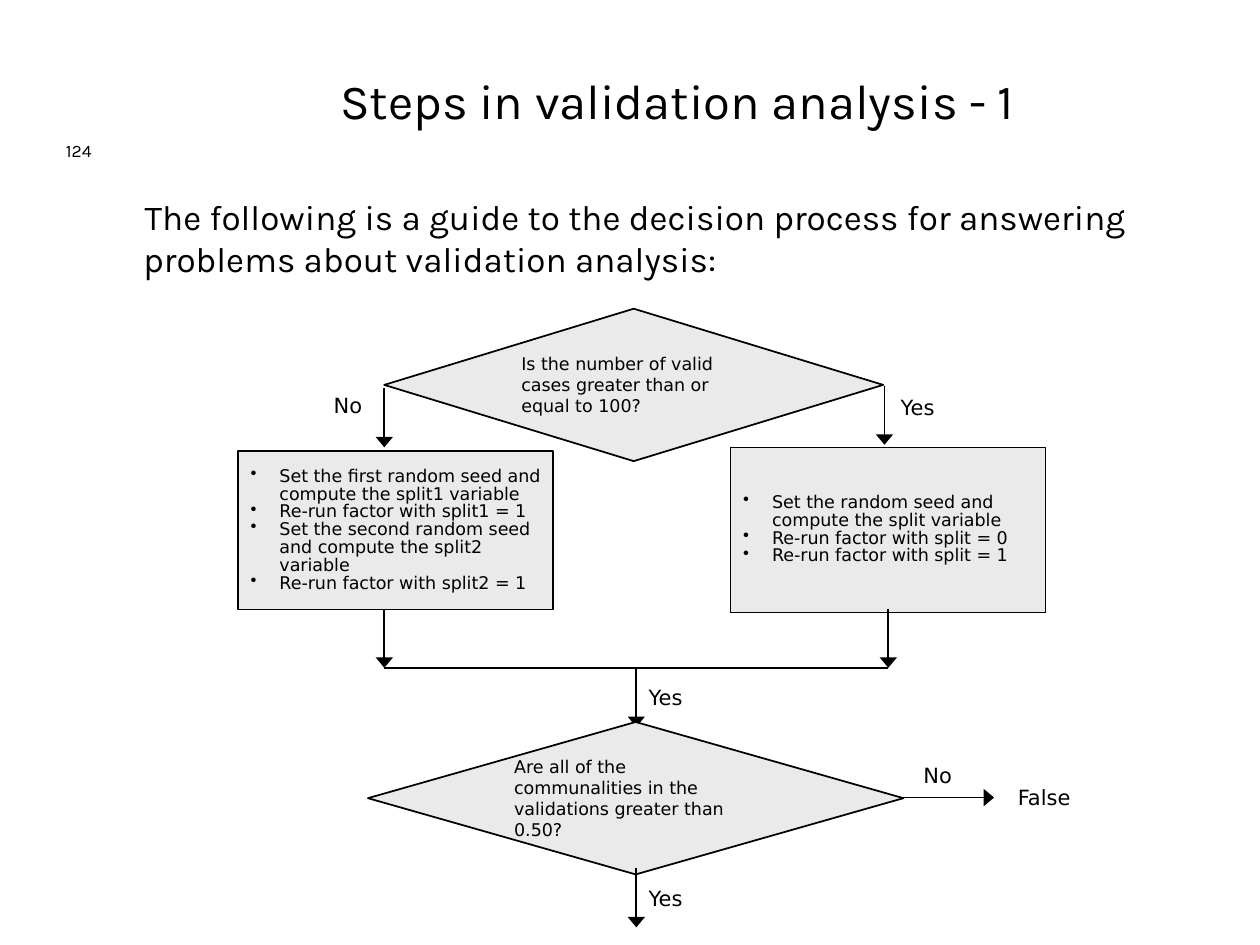
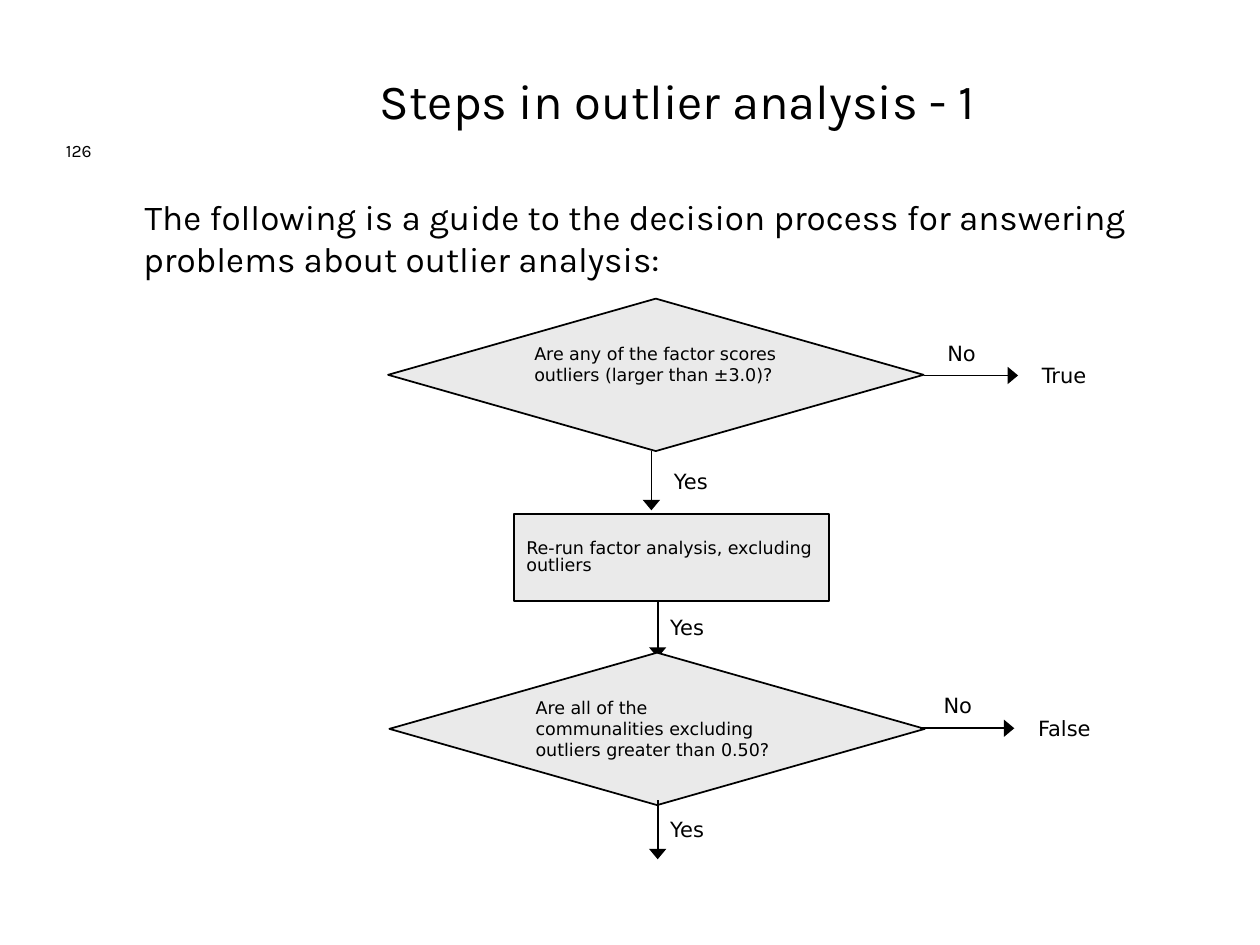
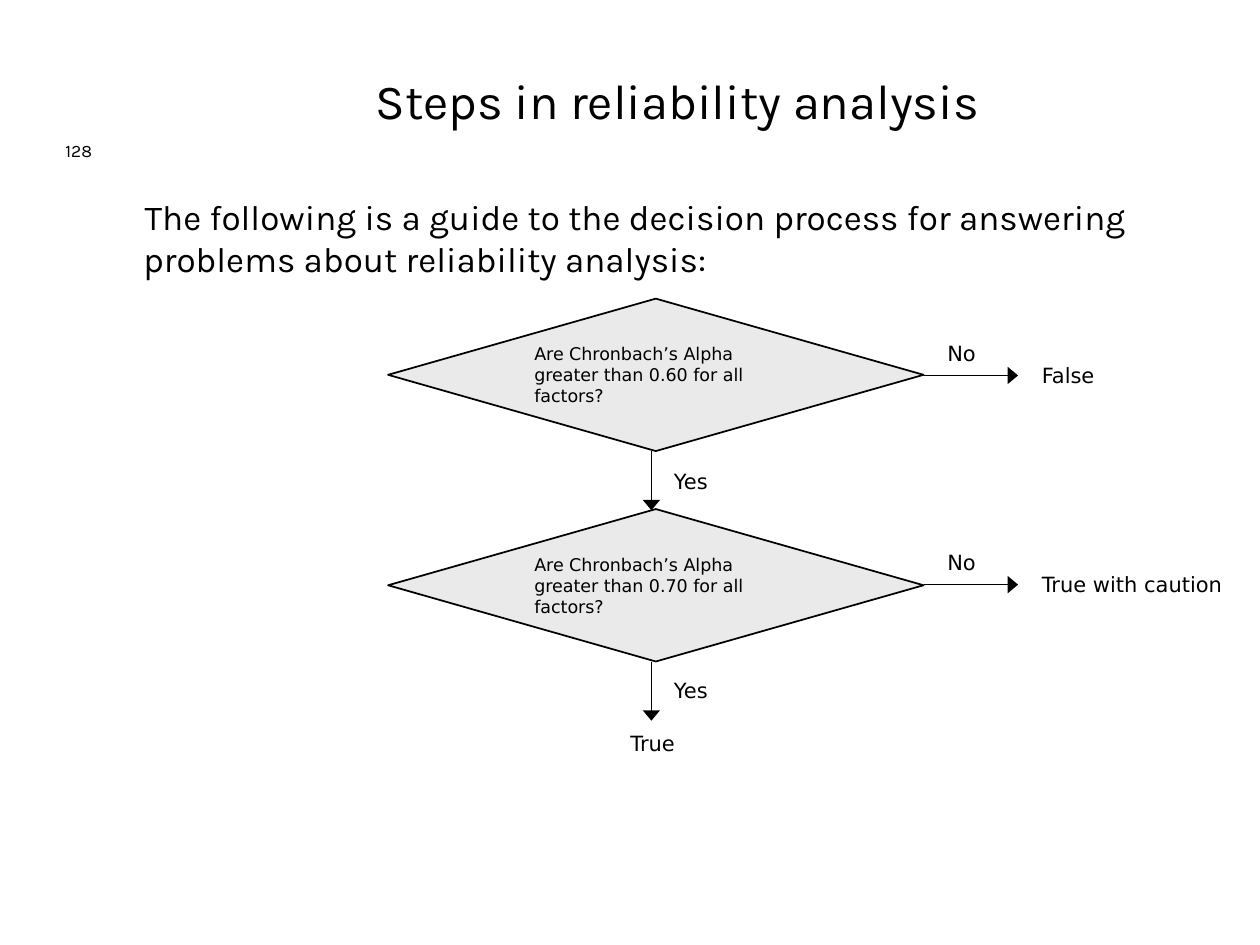
"""Build three flowchart slides on validation, outlier and reliability analysis."""
from dataclasses import dataclass

from lxml.etree import SubElement
from pptx import Presentation
from pptx.dml.color import RGBColor
from pptx.enum.shapes import MSO_CONNECTOR as LINE, MSO_SHAPE as SHAPE
from pptx.enum.text import MSO_ANCHOR as ANCHOR, PP_ALIGN as ALIGN
from pptx.oxml.ns import qn
from pptx.util import Inches, Pt


@dataclass(frozen=True)
class Theme:
    ink: RGBColor = RGBColor(0, 0, 0)
    paper: RGBColor = RGBColor(0xFF, 0xFF, 0xFF)
    node: RGBColor = RGBColor(0xEA, 0xEA, 0xEA)
    heading_font: str = "Karla"
    chart_font: str = "DejaVu Sans"
    title: int = 28
    intro: int = 20
    label: int = 12
    small: int = 10


theme = Theme()
DECISION, ACTION = SHAPE.FLOWCHART_DECISION, SHAPE.RECTANGLE
DROP, EXIT = 0.47, 0.75


def write(shape, lines, size, font=theme.chart_font, align=ALIGN.LEFT,
          anchor=ANCHOR.TOP, spacing=1.0):
    frame = shape.text_frame
    frame.word_wrap = True
    frame.vertical_anchor = anchor
    frame.text = "\n".join(lines)
    for paragraph in frame.paragraphs:
        if len(lines) > 1:
            properties = paragraph._p.get_or_add_pPr()
            properties.set("marL", str(Inches(0.23)))
            properties.set("indent", str(Inches(-0.25)))
            SubElement(properties, qn("a:buChar"), char="•")
        paragraph.alignment = align
        paragraph.line_spacing = spacing
        for run in paragraph.runs:
            run.font.size = Pt(size)
            run.font.name = font
            run.font.color.rgb = theme.ink


def connect(slide, x1, y1, x2, y2, arrow=True):
    link = slide.shapes.add_connector(
        LINE.STRAIGHT, Inches(x1), Inches(y1), Inches(x2), Inches(y2))
    link.line.color.rgb = theme.ink
    link.line.width = Pt(1)
    if arrow:
        SubElement(link.line._get_or_add_ln(), qn("a:tailEnd"),
                   type="triangle", w="lg", len="med")
    SubElement(link._element.spPr, qn("a:effectLst"))


charts = [
    {
        "title": "Steps in validation analysis - 1", "number": "124", "topic": "validation",
        "drops_behind": [(5.05, 5.3), (3.05, 3.08), (7.02, 3.06)],
        "nodes": [
            (DECISION, 3.05, 2.45, 3.96, 1.21,
             ["Is the number of valid cases greater than or equal to 100?"]),
            (DECISION, 2.92, 5.73, 4.25, 1.21,
             ["Are all of the communalities in the validations greater than 0.50?"]),
            (ACTION, 5.8, 3.55, 2.5, 1.31,
             ["Set the random seed and compute the split variable",
              "Re-run factor with split = 0",
              "Re-run factor with split = 1"]),
            (ACTION, 1.89, 3.58, 2.5, 1.26,
             ["Set the first random seed and compute the split1 variable",
              "Re-run factor with split1 = 1",
              "Set the second random seed and compute the split2 variable",
              "Re-run factor with split2 = 1"]),
        ],
        "drops_in_front": [(5.05, 6.89), (3.05, 4.83), (7.05, 4.83)],
        "joins": [(3.05, 5.3, 7.05, 5.3)],
        "exits": [(7.14, 6.33, "False")],
        "labels": [("Yes", 5.05, 5.38), ("Yes", 7.05, 3.08),
                   ("No", 2.55, 3.07), ("Yes", 5.05, 6.98)],
        "endings": [],
    },
    {
        "title": "Steps in outlier analysis - 1", "number": "126", "topic": "outlier",
        "drops_behind": [(5.22, 4.75), (5.17, 3.58)],
        "nodes": [
            (DECISION, 3.08, 2.37, 4.25, 1.21,
             ["Are any of the factor scores outliers (larger than ±3.0)?"], 0.22),
            (ACTION, 4.08, 4.08, 2.5, 0.69,
             ["Re-run factor analysis, excluding outliers"]),
            (DECISION, 3.09, 5.18, 4.25, 1.21,
             ["Are all of the communalities excluding outliers greater than 0.50?"]),
        ],
        "drops_in_front": [(5.22, 6.35)],
        "joins": [],
        "exits": [(7.33, 2.98, "True"), (7.3, 5.78, "False")],
        "labels": [("Yes", 5.22, 4.83), ("Yes", 5.25, 3.67), ("Yes", 5.22, 6.43)],
        "endings": [],
    },
    {
        "title": "Steps in reliability analysis", "number": "128", "topic": "reliability",
        "drops_behind": [],
        "nodes": [
            (DECISION, 3.08, y, 4.25, 1.21,
             [f"Are Chronbach’s Alpha greater than {alpha} for all factors?"])
            for y, alpha in ((2.37, "0.60"), (4.04, "0.70"))
        ],
        "drops_in_front": [(5.17, 3.58), (5.17, 5.25)],
        "joins": [],
        "exits": [(7.33, 2.98, "False"), (7.33, 4.64, "True with caution")],
        "labels": [("Yes", 5.25, 3.67), ("Yes", 5.25, 5.33)],
        "endings": [("True", 4.83, 5.75)],
    },
]

deck = Presentation()
deck.slide_width, deck.slide_height = Inches(10), Inches(7.5)

for chart in charts:
    slide = deck.slides.add_slide(deck.slide_layouts[6])
    slide.background.fill.solid()
    slide.background.fill.fore_color.rgb = theme.paper

    title = slide.shapes.add_textbox(Inches(1.25), Inches(0.33), Inches(8.25), Inches(1))
    write(title, [chart["title"]], theme.title, theme.heading_font,
          ALIGN.CENTER, ANCHOR.MIDDLE, 0.85)

    intro = slide.shapes.add_shape(ACTION, Inches(0.98), Inches(1.5), Inches(8.81), Inches(0.76))
    intro.shadow.inherit = False
    intro.fill.solid()
    intro.fill.fore_color.rgb = theme.paper
    intro.line.fill.background()
    write(intro, ["The following is a guide to the decision process for answering "
                  f"problems about {chart['topic']} analysis:"],
          theme.intro, theme.heading_font)
    intro_indent = intro.text_frame.paragraphs[0]._p.get_or_add_pPr()
    intro_indent.set("marL", str(Inches(0.06)))
    intro_indent.set("indent", str(Inches(0.01)))

    for x, y in chart["drops_behind"]:
        connect(slide, x, y, x, y + DROP)

    for outline, x, y, width, height, lines, *bottom in chart["nodes"]:
        node = slide.shapes.add_shape(outline, Inches(x), Inches(y), Inches(width), Inches(height))
        node.shadow.inherit = False
        node.fill.solid()
        node.fill.fore_color.rgb = theme.node
        node.line.color.rgb = theme.ink
        node.line.width = Pt(1 if outline == DECISION else 0.75)
        write(node, lines, theme.small, anchor=ANCHOR.MIDDLE,
              spacing=1.0 if outline == DECISION else 0.85)
        for inset in bottom:
            node.text_frame.margin_bottom = Inches(inset)

    for x, y in chart["drops_in_front"]:
        connect(slide, x, y, x, y + DROP)
    for join in chart["joins"]:
        connect(slide, *join, arrow=False)

    captions = [(text, x, y, 0.51, ALIGN.LEFT) for text, x, y in chart["labels"]]
    captions += [(text, x, y, 0.7, ALIGN.CENTER) for text, x, y in chart["endings"]]
    for x, y, outcome in chart["exits"]:
        connect(slide, x, y, x + EXIT, y)
        captions.append(("No", x + 0.09, y - 0.33, 0.51, ALIGN.LEFT))
        captions.append((outcome, x + EXIT + 0.09, y - 0.15,
                         0.7 if len(outcome) < 6 else 1.67, ALIGN.LEFT))
    for text, x, y, width, align in captions:
        caption = slide.shapes.add_textbox(Inches(x), Inches(y), Inches(width), Inches(0.3))
        write(caption, [text], theme.label, align=align)

    number = slide.shapes.add_textbox(Inches(0), Inches(0.33), Inches(1.25), Inches(1))
    write(number, [chart["number"]], theme.small, theme.heading_font,
          ALIGN.CENTER, ANCHOR.BOTTOM)

deck.save("out.pptx")
